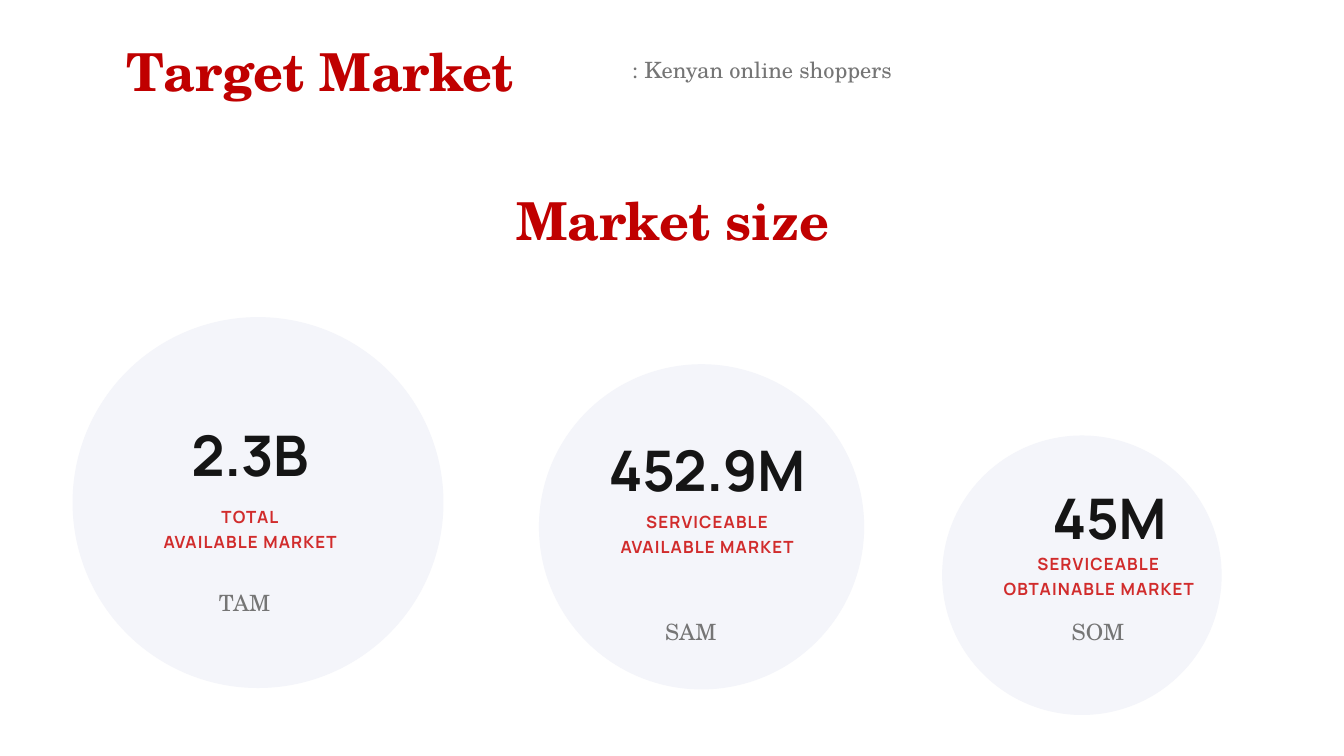
import pptx
import pptx.util
import pptx.dml.color
import pptx.enum.shapes
import pptx.enum.text

COLORS = {"bubble": "F4F5FA", "value": "151515", "label": "D12C2C",
          "heading": "C00000", "muted": "757575"}
SERIF, SANS = "TeX Gyre Schola", "Manrope"

# Text styles: font, size, colour, bold, line spacing, letter spacing (1/100 pt)
STYLES = {
    "heading": (SERIF, 28, "heading", True, 27, 0),
    "muted": (SERIF, 12, "muted", False, 18, 0),
    "value": (SANS, 30, "value", True, 36, -20),
    "label": (SANS, 9, "label", True, 13.5, 60),
}

prs = pptx.Presentation()
prs.slide_width = pptx.util.Inches(10)
prs.slide_height = prs.slide_width * 9 // 16
s = prs.slides.add_slide(prs.slide_layouts[5])


def grid(*lengths):
    """Turn columns of a 100-column square grid into slide lengths."""
    return [round(n * prs.slide_width / 100) for n in lengths]


def write(sp, box, text, style):
    """Place a text shape and format its paragraphs."""
    font, size, color, bold, leading, tracking = STYLES[style]
    sp.left, sp.top, sp.width, sp.height = grid(*box)
    tf = sp.text_frame
    tf.text = text
    tf.word_wrap = True
    tf.auto_size = pptx.enum.text.MSO_AUTO_SIZE.NONE
    tf.vertical_anchor = pptx.enum.text.MSO_ANCHOR.TOP
    tf.margin_left = tf.margin_top = tf.margin_right = tf.margin_bottom = 0
    for p in tf.paragraphs:
        p.alignment = pptx.enum.text.PP_ALIGN.CENTER
        p.line_spacing = pptx.util.Pt(leading)
        for r in p.runs:
            r.font.name = font
            r.font.size = pptx.util.Pt(size)
            r.font.bold = bold
            r.font.color.rgb = pptx.dml.color.RGBColor.from_string(COLORS[color])
            if tracking:
                r._r.get_or_add_rPr().set("spc", str(tracking))


# Title
write(s.shapes.title, (0, 3.8, 47.7, 3.8), "Target Market", "heading")

# Market bubbles: left, top, diameter
for left, top, size in [(5.4, 23.6, 27.6), (40.1, 27.1, 24.2), (70.1, 32.4, 20.8)]:
    sp = s.shapes.add_shape(pptx.enum.shapes.MSO_SHAPE.OVAL, *grid(left, top, size, size))
    sp.shadow.inherit = False
    sp.fill.solid()
    sp.fill.fore_color.rgb = pptx.dml.color.RGBColor.from_string(COLORS["bubble"])
    sp.line.fill.background()

# Subtitle, section heading and bubble texts
texts = [
    ((46.3, 3.7, 20.8, 2.5), ": Kenyan online shoppers", "muted"),
    ((16.7, 14.9, 66.7, 3.8), "Market size", "heading"),
    ((8.2, 31.3, 20.8, 5), "2.3B", "value"),
    ((8.2, 37.3, 20.8, 3.8), "TOTAL\nAVAILABLE MARKET", "label"),
    ((7.8, 43.3, 20.8, 2.5), "TAM", "muted"),
    ((43.5, 32.4, 18.2, 5), "452.9M", "value"),
    ((43.5, 37.7, 18.2, 3.8), "SERVICEABLE\nAVAILABLE MARKET", "label"),
    ((41, 45.5, 20.8, 2.5), "SAM", "muted"),
    ((74.2, 36, 16.7, 5), "45M", "value"),
    ((73.4, 40.8, 16.7, 3.8), "SERVICEABLE OBTAINABLE MARKET", "label"),
    ((71.3, 45.5, 20.8, 2.5), "SOM", "muted"),
]
for box, text, style in texts:
    write(s.shapes.add_textbox(*grid(*box)), box, text, style)

prs.save("out.pptx")
